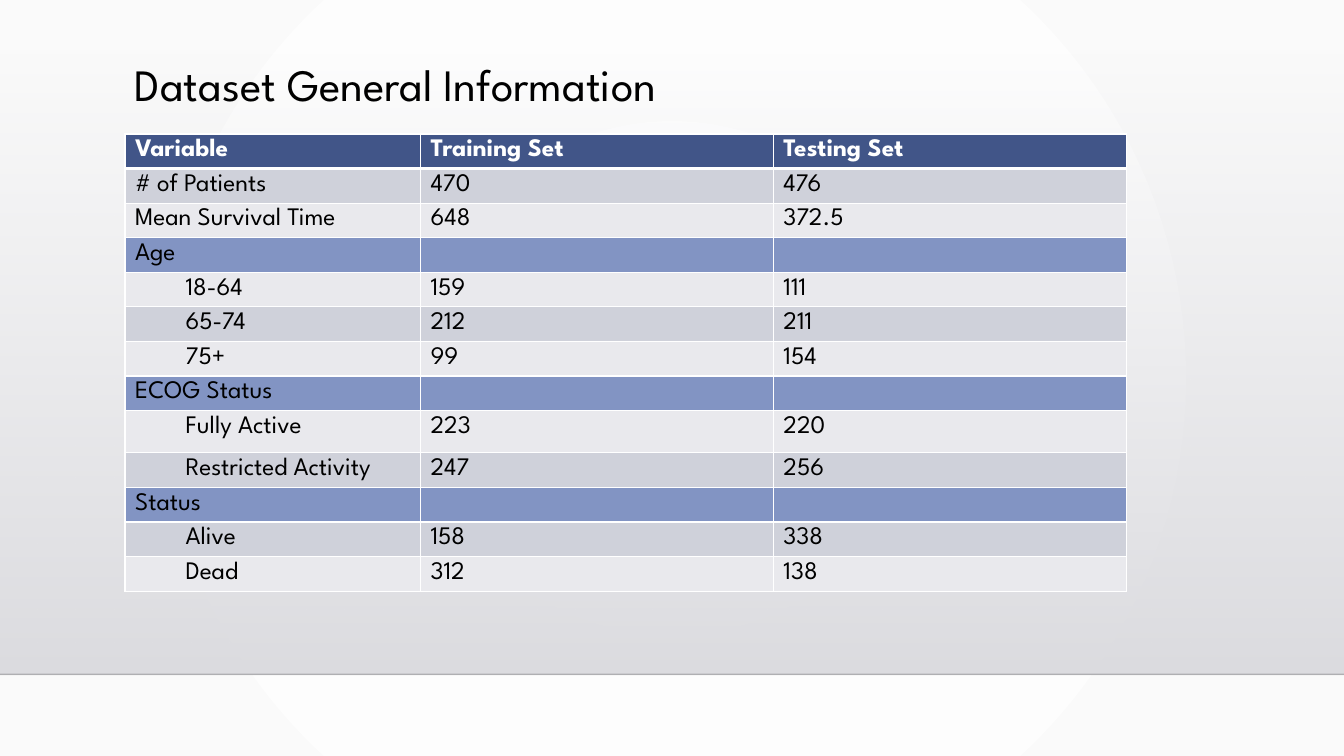
from lxml import etree
from pptx import Presentation
from pptx import util as u
from pptx.dml.color import RGBColor
from pptx.enum import shapes
from pptx.oxml import parse_xml
from pptx.oxml.ns import qn

FONT = "League Spartan"
TITLE = "Dataset General Information"
HEAD, GROUP, ODD, EVEN = "415588", "8294C3", "CFD1DA", "E9E9ED"
ROWS = [
    ("Variable", "Training Set", "Testing Set"),
    ("# of Patients", "470", "476"),
    ("Mean Survival Time", "648", "372.5"),
    ("Age",),
    ("18-64", "159", "111"),
    ("65-74", "212", "211"),
    ("75+", "99", "154"),
    ("ECOG Status",),
    ("Fully Active", "223", "220"),
    ("Restricted Activity", "247", "256"),
    ("Status",),
    ("Alive", "158", "338"),
    ("Dead", "312", "138"),
]
COLS = (2.93, 3.5, 3.5)
ROW, TALL, TALL_ROW = 0.343, 0.42, 8
WIDE, HIGH = 13.33, 7.5
LEFT, TOP, FLOOR = 1.24, 1.33, 6.69
NS = 'xmlns:a="http://schemas.openxmlformats.org/drawingml/2006/main"'


def color(code):
    return RGBColor.from_string(code)


def style(para, size, code, bold=False):
    for run in para.runs:
        font = run.font
        font.name, font.size, font.bold = FONT, u.Pt(size), bold
        font.color.rgb = color(code)


def blend(fill, stops, shade):
    fill.gradient()
    marks = "".join(
        f'<a:gs pos="{pos * 1000}"><a:srgbClr val="{code}">'
        f'<a:alpha val="{alpha * 1000}"/></a:srgbClr></a:gs>'
        for pos, code, alpha in stops)
    return parse_xml(f'<a:gradFill {NS} rotWithShape="1"><a:gsLst>{marks}'
                     f'</a:gsLst>{shade}</a:gradFill>')


def swap(root, new):
    old = root.find(".//" + qn("a:gradFill"))
    old.getparent().replace(old, new)


def border(cell, sides):
    props = cell._tc.get_or_add_tcPr()
    for spot, (side, width) in enumerate(sides.items()):
        props.insert(spot, parse_xml(
            f'<a:ln{side} {NS} w="{u.Pt(width)}"><a:solidFill>'
            f'<a:srgbClr val="FFFFFF"/></a:solidFill></a:ln{side}>'))


def backdrop(slide):
    back = slide.background
    swap(back._cSld, blend(
        back.fill, [(0, "FFFFFF", 100), (100, "FAFAFA", 100)],
        '<a:path path="circle"><a:fillToRect l="50000" t="50000" '
        'r="50000" b="50000"/></a:path>'))

    wall = slide.shapes.add_shape(
        shapes.MSO_SHAPE.RECTANGLE, 0, u.Inches(0.51),
        u.Inches(WIDE), u.Inches(FLOOR - 0.51))
    wall.shadow.inherit = False
    wall.line.fill.background()
    swap(wall._element, blend(
        wall.fill, [(0, "DCDCE0", 0), (100, "DEDEE2", 100)],
        '<a:lin ang="5400000" scaled="0"/>'))

    edge = slide.shapes.add_connector(
        shapes.MSO_CONNECTOR.STRAIGHT, 0, u.Inches(FLOOR),
        u.Inches(WIDE), u.Inches(FLOOR))
    edge.line.width = u.Pt(1)
    edge.line.color.rgb = color("000001")
    props = edge._element.spPr
    tint = props.find(".//" + qn("a:srgbClr"))
    etree.SubElement(tint, qn("a:alpha")).set("val", "20000")
    etree.SubElement(props, qn("a:effectLst"))


def grid(slide):
    highs = [TALL if row == TALL_ROW else ROW for row in range(len(ROWS))]
    table = slide.shapes.add_table(
        len(ROWS), len(COLS), u.Inches(LEFT), u.Inches(TOP),
        u.Inches(sum(COLS)), u.Inches(sum(highs))).table
    for col, wide in zip(table.columns, COLS):
        col.width = u.Inches(wide)
    nested = False
    for row, words in enumerate(ROWS):
        table.rows[row].height = u.Inches(highs[row])
        group = len(words) == 1
        nested = nested or group
        fill = HEAD if row == 0 else GROUP if group else ODD if row % 2 else EVEN
        for col in range(len(COLS)):
            cell = table.cell(row, col)
            cell.fill.solid()
            cell.fill.fore_color.rgb = color(fill)
            border(cell, {"L": 1, "R": 1, "T": 3 if row == 1 else 1,
                          "B": 3 if row == 0 else 1})
            if col >= len(words):
                cell.margin_top = cell.margin_bottom = 0
                continue
            para = cell.text_frame.paragraphs[0]
            para.text = words[col]
            style(para, 18, "000000" if row else "FFFFFF", row == 0)
            if nested and not group and col == 0:
                para.level = 1
                para._p.get_or_add_pPr().set("marL", str(u.Inches(0.5)))


def title(slide):
    box = slide.shapes.add_textbox(
        u.Inches(LEFT), u.Inches(0.57), u.Inches(10.5), u.Inches(1.15))
    frame = box.text_frame
    frame.word_wrap = True
    frame.text = TITLE
    frame.paragraphs[0].line_spacing = 0.9
    style(frame.paragraphs[0], 32, "000000")


def main():
    deck = Presentation()
    deck.slide_width, deck.slide_height = u.Inches(WIDE), u.Inches(HIGH)
    slide = deck.slides.add_slide(deck.slide_layouts[6])
    backdrop(slide)
    grid(slide)
    title(slide)
    deck.save("out.pptx")


if __name__ == "__main__":
    main()
